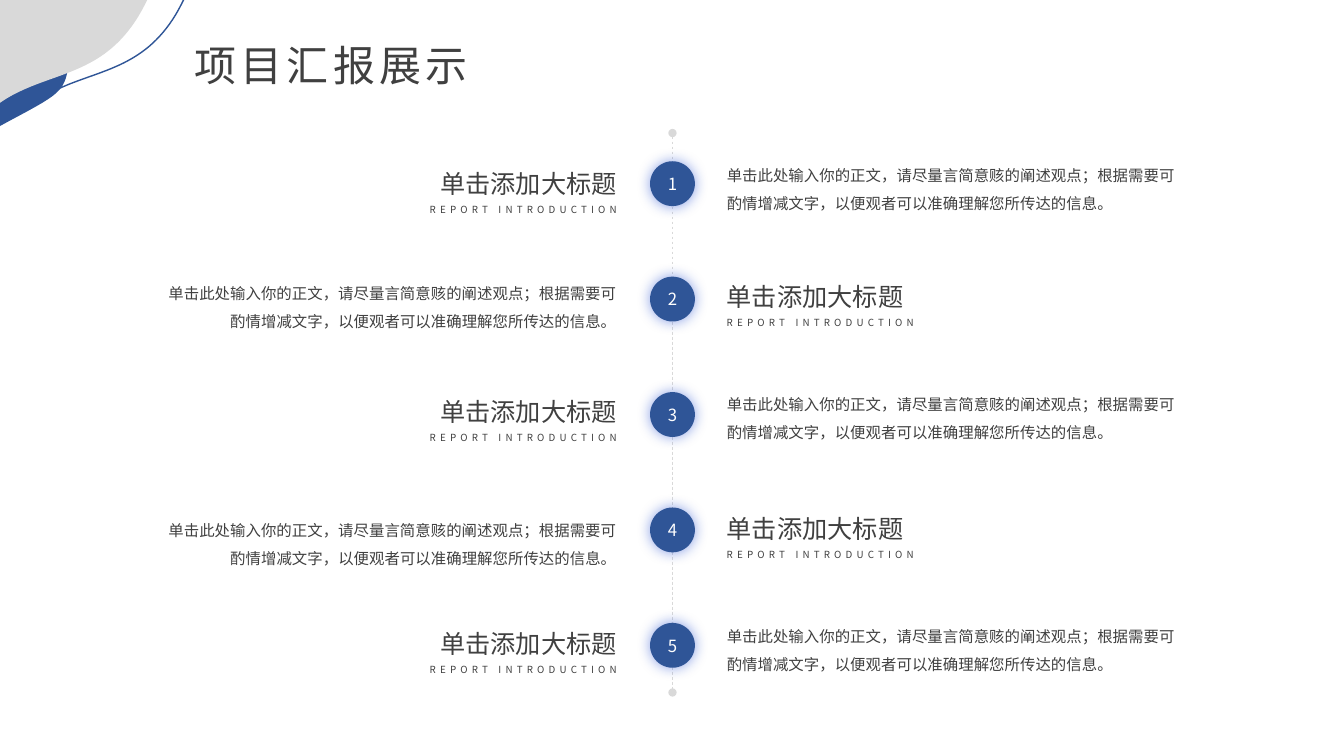
"""Build a five-step vertical timeline slide with alternating headings and body text."""
import dataclasses
import typing

import lxml.etree
import pptx
import pptx.dml.color
import pptx.enum.dml
import pptx.enum.shapes
import pptx.enum.text
import pptx.oxml.ns
import pptx.util

Inches = pptx.util.Inches
Align = pptx.enum.text.PP_ALIGN
Anchor = pptx.enum.text.MSO_ANCHOR
Point = tuple[float, float]

FONT = "Noto Sans CJK SC"
BLUE, GREY, INK, WHITE, GLOW = "2F5597", "D9D9D9", "404040", "FFFFFF", "113ECC"
HEADING = "单击添加大标题"
CAPTION = "REPORT INTRODUCTION"
BODY = "单击此处输入你的正文，请尽量言简意赅的阐述观点；根据需要可酌情增减文字，以便观者可以准确理解您所传达的信息。"
AXIS, BADGE_SIZE, FIRST_BADGE, BADGE_PITCH = 6.67, 0.445, 1.6, 1.145
LEFT_EDGE, RIGHT_EDGE, CAPTION_DROP = 6.215, 7.11, 0.355


@dataclasses.dataclass(frozen=True)
class TextStyle:
    size: float
    color: str = INK
    tracking: int = 0
    line_spacing: typing.Optional[float] = None


@dataclasses.dataclass(frozen=True)
class Blob:
    start: Point
    corner: Point
    curve: tuple[Point, Point, Point]
    fill: typing.Optional[str] = None
    line: typing.Optional[str] = None


@dataclasses.dataclass(frozen=True)
class Step:
    heading_top: float
    body_top: float
    heading_on_left: bool


TITLE_STYLE = TextStyle(30, tracking=300)
HEADING_STYLE = TextStyle(18)
CAPTION_STYLE = TextStyle(7, tracking=300)
BODY_STYLE = TextStyle(11, line_spacing=1.5)
BADGE_STYLE = TextStyle(12, WHITE)

BLOBS = [
    Blob((0.37, -0.02), (0.37, 1), ((0.86, 0.66), (1.46, 0.78), (1.83, -0.02)), line=BLUE),
    Blob((0, 0), (0, 1.25), ((0.85, 0.79), (0.58, 0.99), (0.78, 0)), fill=BLUE),
    Blob((0, 0), (0, 1.02), ((0.49, 0.68), (1.08, 0.8), (1.46, 0)), fill=GREY),
]
STEPS = [
    Step(1.62, 1.51, True),
    Step(2.74, 2.68, False),
    Step(3.88, 3.78, True),
    Step(5.04, 5.03, False),
    Step(6.18, 6.08, True),
]


def rgb(color: str) -> pptx.dml.color.RGBColor:
    """Turn a hex string into a colour."""
    return pptx.dml.color.RGBColor.from_string(color)


def apply(target: typing.Any, values: dict[str, typing.Any]) -> None:
    """Set every named attribute on the target."""
    for name, value in values.items():
        setattr(target, name, value)


def add_element(parent: typing.Any, tag: str, **attributes: str) -> typing.Any:
    """Append a DrawingML child element."""
    return lxml.etree.SubElement(parent, pptx.oxml.ns.qn(tag), attributes)


def write(shape: typing.Any, text: str, style: TextStyle, align: Align, **frame_values: typing.Any) -> None:
    """Fill a shape with one styled paragraph."""
    apply(shape.text_frame, {"word_wrap": True, **frame_values})
    para = shape.text_frame.paragraphs[0]
    apply(para, {"alignment": align, "line_spacing": style.line_spacing})
    span = para.add_run()
    span.text = text
    span.font.color.rgb = rgb(style.color)
    apply(span.font, {"size": pptx.util.Pt(style.size), "name": FONT})
    properties = span.font._element
    add_element(properties, "a:ea", typeface=FONT)
    if style.tracking:
        properties.set("spc", str(style.tracking))


def paint(shape: typing.Any, fill: typing.Optional[str], line: typing.Optional[str] = None) -> None:
    """Set fill and outline, and drop the shadow."""
    for part, color in ((shape.fill, fill), (shape.line.fill, line)):
        if color:
            part.solid()
            part.fore_color.rgb = rgb(color)
        else:
            part.background()
    shape.shadow.inherit = False


def bezier(points: tuple[Point, ...], steps: int = 40) -> list[Point]:
    """Sample a cubic curve, leaving out its first point."""
    samples = []
    for index in range(1, steps + 1):
        t = index / steps
        weights = ((1 - t) ** 3, 3 * t * (1 - t) ** 2, 3 * t * t * (1 - t), t ** 3)
        samples.append(tuple(sum(w * p[axis] for w, p in zip(weights, points)) for axis in (0, 1)))
    return samples


def draw_blob(page: typing.Any, blob: Blob) -> None:
    """Draw one curved corner shape."""
    outline = [blob.corner, *bezier((blob.corner, *blob.curve))]
    builder = page.shapes.build_freeform(Inches(blob.start[0]), Inches(blob.start[1]))
    builder.add_line_segments([(Inches(x), Inches(y)) for x, y in outline], close=True)
    shape = builder.convert_to_shape()
    paint(shape, blob.fill, blob.line)
    if blob.line:
        shape.line.width = pptx.util.Pt(1)


def draw_axis(page: typing.Any) -> None:
    """Draw the dashed timeline with a dot at each end."""
    axis = page.shapes.add_connector(
        pptx.enum.shapes.MSO_CONNECTOR.STRAIGHT, Inches(AXIS), Inches(1.32), Inches(AXIS), Inches(6.87)
    )
    axis.line.color.rgb = rgb(GREY)
    apply(axis.line, {"width": pptx.util.Pt(0.5), "dash_style": pptx.enum.dml.MSO_LINE.DASH})
    for tag in ("a:headEnd", "a:tailEnd"):
        add_element(axis.line._get_or_add_ln(), tag, type="oval")
    add_element(axis._element.spPr, "a:effectLst")


def draw_badge(page: typing.Any, index: int) -> None:
    """Draw a numbered circle with a soft glow."""
    badge = page.shapes.add_shape(
        pptx.enum.shapes.MSO_SHAPE.OVAL,
        Inches(AXIS - BADGE_SIZE / 2), Inches(FIRST_BADGE + index * BADGE_PITCH),
        Inches(BADGE_SIZE), Inches(BADGE_SIZE),
    )
    paint(badge, BLUE)
    effects = badge._element.spPr.find(pptx.oxml.ns.qn("a:effectLst"))
    glow = add_element(effects, "a:outerShdw", blurRad=str(pptx.util.Pt(10)), dist="0", algn="ctr", rotWithShape="0")
    add_element(add_element(glow, "a:srgbClr", val=GLOW), "a:alpha", val="50000")
    write(badge, str(index + 1), BADGE_STYLE, Align.CENTER, vertical_anchor=Anchor.MIDDLE)


def draw_text(page: typing.Any, text: str, style: TextStyle, on_left: bool,
              top: float, width: float, height: float) -> None:
    """Place text beside the axis, aligned towards it."""
    left = LEFT_EDGE - width if on_left else RIGHT_EDGE
    box = page.shapes.add_textbox(Inches(left), Inches(top), Inches(width), Inches(height))
    write(box, text, style, Align.RIGHT if on_left else Align.LEFT,
          auto_size=pptx.enum.text.MSO_AUTO_SIZE.SHAPE_TO_FIT_TEXT)


def draw_step(page: typing.Any, index: int, step: Step) -> None:
    """Draw the badge, heading, caption and body of a step."""
    draw_badge(page, index)
    side = step.heading_on_left
    draw_text(page, HEADING, HEADING_STYLE, side, step.heading_top, 2.71, 0.4)
    draw_text(page, CAPTION, CAPTION_STYLE, side, step.heading_top + CAPTION_DROP, 3, 0.22)
    draw_text(page, BODY, BODY_STYLE, not side, step.body_top, 4.69, 0.63)


def main() -> None:
    """Build and save the deck."""
    deck = pptx.Presentation()
    apply(deck, {"slide_width": Inches(13.33), "slide_height": Inches(7.5)})
    page = deck.slides.add_slide(deck.slide_layouts[5])
    for blob in BLOBS:
        draw_blob(page, blob)
    title = page.shapes.title
    apply(title, {"left": Inches(1.83), "top": Inches(0.34), "width": Inches(3.43), "height": Inches(0.61)})
    write(title, "项目汇报展示", TITLE_STYLE, Align.LEFT, vertical_anchor=Anchor.TOP,
          auto_size=pptx.enum.text.MSO_AUTO_SIZE.SHAPE_TO_FIT_TEXT)
    draw_axis(page)
    for index, step in enumerate(STEPS):
        draw_step(page, index, step)
    deck.save("out.pptx")


if __name__ == "__main__":
    main()
